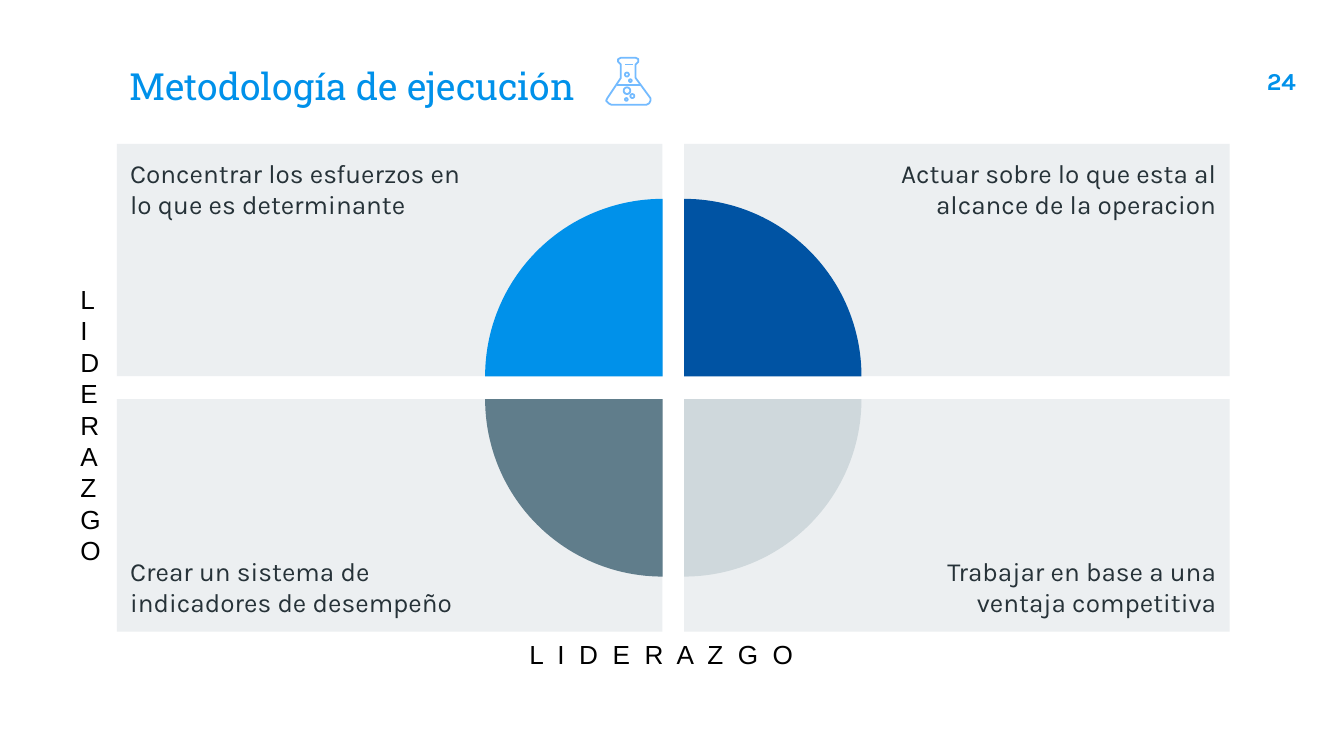
from pptx import Presentation
from pptx.dml.color import RGBColor
from pptx.enum.shapes import MSO_SHAPE
from pptx.enum.text import MSO_ANCHOR, PP_ALIGN
from pptx.util import Inches, Pt

LEFT, RIGHT = PP_ALIGN.LEFT, PP_ALIGN.RIGHT
TOP, BOTTOM = MSO_ANCHOR.TOP, MSO_ANCHOR.BOTTOM
RECTANGLE, PIE, OVAL = MSO_SHAPE.RECTANGLE, MSO_SHAPE.PIE, MSO_SHAPE.OVAL
COLORS = {
    "blue": "0091EA",
    "navy": "0053A3",
    "slate": "607D8B",
    "silver": "CFD8DC",
    "panel": "ECEFF1",
    "text": "263238",
    "black": "000000",
    "icon": "74BBFF",
}


def write_text(shape, text, font="Karla", size=14, color="text", bold=False,
               align=LEFT, anchor=TOP, insets=(0.1, 0.1, 0.1, 0.1), spacing=0):
    frame = shape.text_frame
    frame.word_wrap = True
    frame.vertical_anchor = anchor
    frame.margin_left, frame.margin_top, frame.margin_right, frame.margin_bottom = map(Inches, insets)
    paragraph = frame.paragraphs[0]
    paragraph.alignment = align
    run = paragraph.add_run()
    run.text = text
    run.font.name = font
    run.font.size = Pt(size)
    run.font.bold = bold
    run.font.color.rgb = RGBColor.from_string(COLORS[color])
    if spacing:
        run._r.get_or_add_rPr().set("spc", str(spacing))


def paint(shape, fill=None, line=None):
    shape.shadow.inherit = False
    if fill:
        shape.fill.solid()
        shape.fill.fore_color.rgb = RGBColor.from_string(COLORS[fill])
    else:
        shape.fill.background()
    if line:
        shape.line.color.rgb = RGBColor.from_string(COLORS[line])
        shape.line.width = Pt(0.96)
    else:
        shape.line.fill.background()


presentation = Presentation()
presentation.slide_width = Inches(10)
presentation.slide_height = Inches(5.625)
slide = presentation.slides.add_slide(presentation.slide_layouts[5])
shapes = slide.shapes

title = shapes.title
title.left, title.top, title.width, title.height = map(Inches, (0.86, 0.13, 8.28, 0.77))
write_text(title, "Metodología de ejecución", font="Roboto Slab", size=20, color="blue", anchor=BOTTOM)

page_number = shapes.add_textbox(Inches(9.14), Inches(0.39), Inches(0.6), Inches(0.43))
write_text(page_number, "24", size=13, color="blue", bold=True, align=RIGHT)

panels = [
    ("Concentrar los esfuerzos en lo que es determinante", 0, 0),
    ("Actuar sobre lo que esta al alcance de la operacion", 1, 0),
    ("Crear un sistema de indicadores de desempeño", 0, 1),
    ("Trabajar en base a una ventaja competitiva", 1, 1),
]
for text, column, row in panels:
    panel = shapes.add_shape(RECTANGLE, Inches(0.87 + 4.22 * column), Inches(1.07 + 1.9 * row),
                             Inches(4.06), Inches(1.73))
    paint(panel, fill="panel")
    write_text(panel, text, align=RIGHT if column else LEFT, anchor=BOTTOM if row else TOP,
               insets=(1.5, 0.1, 0.1, 0.1) if column else (0.1, 0.1, 1.5, 0.1))
    if not row:
        panel.text_frame.paragraphs[0].space_before = Pt(0)

quadrants = [("blue", 0, 0), ("navy", 1, 0), ("silver", 1, 1), ("slate", 0, 1)]
for index, (color, column, row) in enumerate(quadrants):
    quadrant = shapes.add_shape(PIE, Inches(3.61 + 0.16 * column), Inches(1.48 + 0.17 * row),
                                Inches(2.64), Inches(2.64))
    quadrant.adjustments[0] = 108
    quadrant.adjustments[1] = 162
    quadrant.rotation = 90 * index
    paint(quadrant, fill=color)

side_label = shapes.add_textbox(Inches(0.5), Inches(2.06), Inches(0.2), Inches(2.22))
write_text(side_label, "LIDERAZGO", font="Arial", color="black", insets=(0.1, 0.05, 0.1, 0.05))
bottom_label = shapes.add_textbox(Inches(3.84), Inches(4.7), Inches(2.64), Inches(0.34))
write_text(bottom_label, "L I D E R A Z G O", font="Arial", color="black",
           insets=(0.1, 0.05, 0.1, 0.05), spacing=195)

flask = shapes.add_group_shape()
flask_outlines = [
    ([(4.84, 0.73), (4.73, 0.58), (4.73, 0.48), (4.75, 0.46), (4.75, 0.44), (4.73, 0.43),
      (4.62, 0.43), (4.6, 0.44), (4.6, 0.46), (4.62, 0.48), (4.62, 0.58), (4.52, 0.73),
      (4.51, 0.75), (4.53, 0.77), (4.55, 0.78), (4.81, 0.78), (4.83, 0.77), (4.84, 0.75)], True),
    ([(4.76, 0.63), (4.59, 0.63)], False),
    ([(4.71, 0.48), (4.65, 0.48)], False),
]
for points, closed in flask_outlines:
    corners = [(Inches(x), Inches(y)) for x, y in points]
    builder = flask.shapes.build_freeform(*corners[0])
    builder.add_line_segments(corners[1:], close=closed)
    paint(builder.convert_to_shape(), line="icon")

bubbles = [(4.69, 0.7, 0.03), (4.64, 0.65, 0.05), (4.65, 0.73, 0.02), (4.68, 0.59, 0.02), (4.65, 0.54, 0.03)]
for left, top, diameter in bubbles:
    bubble = flask.shapes.add_shape(OVAL, Inches(left), Inches(top), Inches(diameter), Inches(diameter))
    paint(bubble, line="icon")

presentation.save("out.pptx")
